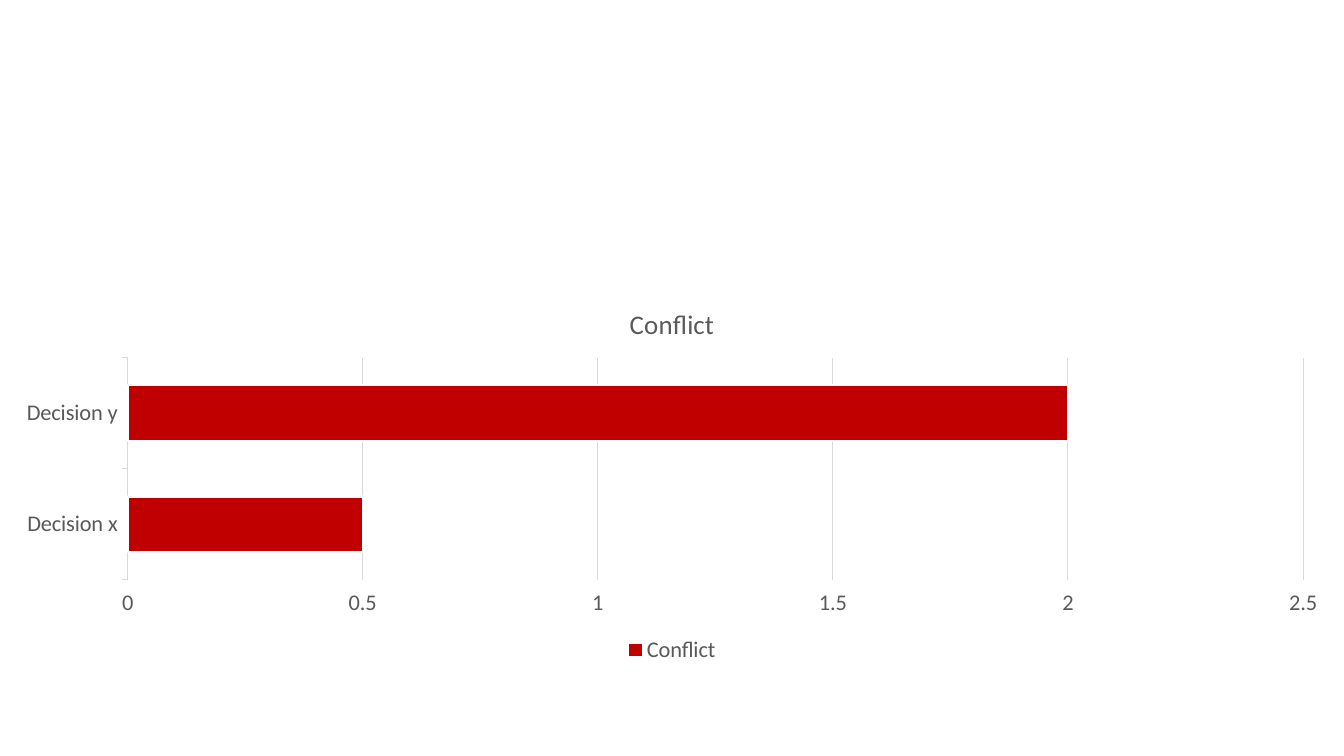
"""Build a slide with a bar chart comparing the conflict of two decisions."""
from dataclasses import dataclass

from pptx import Presentation
from pptx.chart.axis import _BaseAxis
from pptx.chart.data import CategoryChartData
from pptx.dml.color import RGBColor
from pptx.dml.line import LineFormat
from pptx.enum.chart import XL_CHART_TYPE, XL_LEGEND_POSITION, XL_TICK_MARK
from pptx.text.text import Font
from pptx.util import Cm, Pt

BAR_CLUSTERED = XL_CHART_TYPE.BAR_CLUSTERED
LEGEND_BOTTOM = XL_LEGEND_POSITION.BOTTOM
TICK_OUTSIDE = XL_TICK_MARK.OUTSIDE
TICK_NONE = XL_TICK_MARK.NONE


@dataclass(frozen=True)
class Theme:
    font: str = "Calibri"
    text: RGBColor = RGBColor(0x59, 0x59, 0x59)
    rule: RGBColor = RGBColor(0xD9, 0xD9, 0xD9)
    bar: RGBColor = RGBColor(0xC0, 0x00, 0x00)
    bar_edge: RGBColor = RGBColor(0xFF, 0xFF, 0xFF)
    title_size: float = 19.2
    label_size: float = 16
    rule_width: float = 0.75
    bar_edge_width: float = 1.5


@dataclass(frozen=True)
class Decision:
    label: str
    conflict: float


THEME = Theme()
MEASURE = "Conflict"
DECISIONS = [Decision("Decision x", 0.5), Decision("Decision y", 2)]


def style_font(font: Font, size: float) -> None:
    font.name = THEME.font
    font.size = Pt(size)
    font.bold = False
    font.color.rgb = THEME.text


def style_line(line: LineFormat, color: RGBColor, width: float) -> None:
    line.color.rgb = color
    line.width = Pt(width)


def style_axis(axis: _BaseAxis) -> None:
    axis.major_tick_mark = TICK_OUTSIDE
    axis.minor_tick_mark = TICK_NONE
    style_font(axis.tick_labels.font, THEME.label_size)


presentation = Presentation()
presentation.slide_width = Cm(33.87)
presentation.slide_height = Cm(19.05)
slide = presentation.slides.add_slide(presentation.slide_layouts[6])

conflict_data = CategoryChartData()
conflict_data.categories = [decision.label for decision in DECISIONS]
conflict_data.add_series(MEASURE, [decision.conflict for decision in DECISIONS])
conflict_chart = slide.shapes.add_chart(
    BAR_CLUSTERED, Cm(0), Cm(7.24), presentation.slide_width, Cm(9.6), conflict_data
).chart
style_font(conflict_chart.font, THEME.label_size)

conflict_chart.has_title = True
heading = conflict_chart.chart_title.text_frame.paragraphs[0].add_run()
heading.text = MEASURE
style_font(heading.font, THEME.title_size)
conflict_chart.chart_title.include_in_layout = False

conflict_chart.has_legend = True
conflict_chart.legend.position = LEGEND_BOTTOM
conflict_chart.legend.include_in_layout = False
style_font(conflict_chart.legend.font, THEME.label_size)

decision_axis = conflict_chart.category_axis
style_axis(decision_axis)
style_line(decision_axis.format.line, THEME.rule, THEME.rule_width)

conflict_axis = conflict_chart.value_axis
style_axis(conflict_axis)
conflict_axis.minimum_scale = 0
conflict_axis.maximum_scale = 2.5
conflict_axis.major_unit = 0.5
conflict_axis.format.line.fill.background()
style_line(conflict_axis.major_gridlines.format.line, THEME.rule, THEME.rule_width)

bars = conflict_chart.plots[0]
bars.gap_width = 100
bars.vary_by_categories = False
conflict_series = bars.series[0]
conflict_series.format.fill.solid()
conflict_series.format.fill.fore_color.rgb = THEME.bar
style_line(conflict_series.format.line, THEME.bar_edge, THEME.bar_edge_width)

presentation.save("out.pptx")
